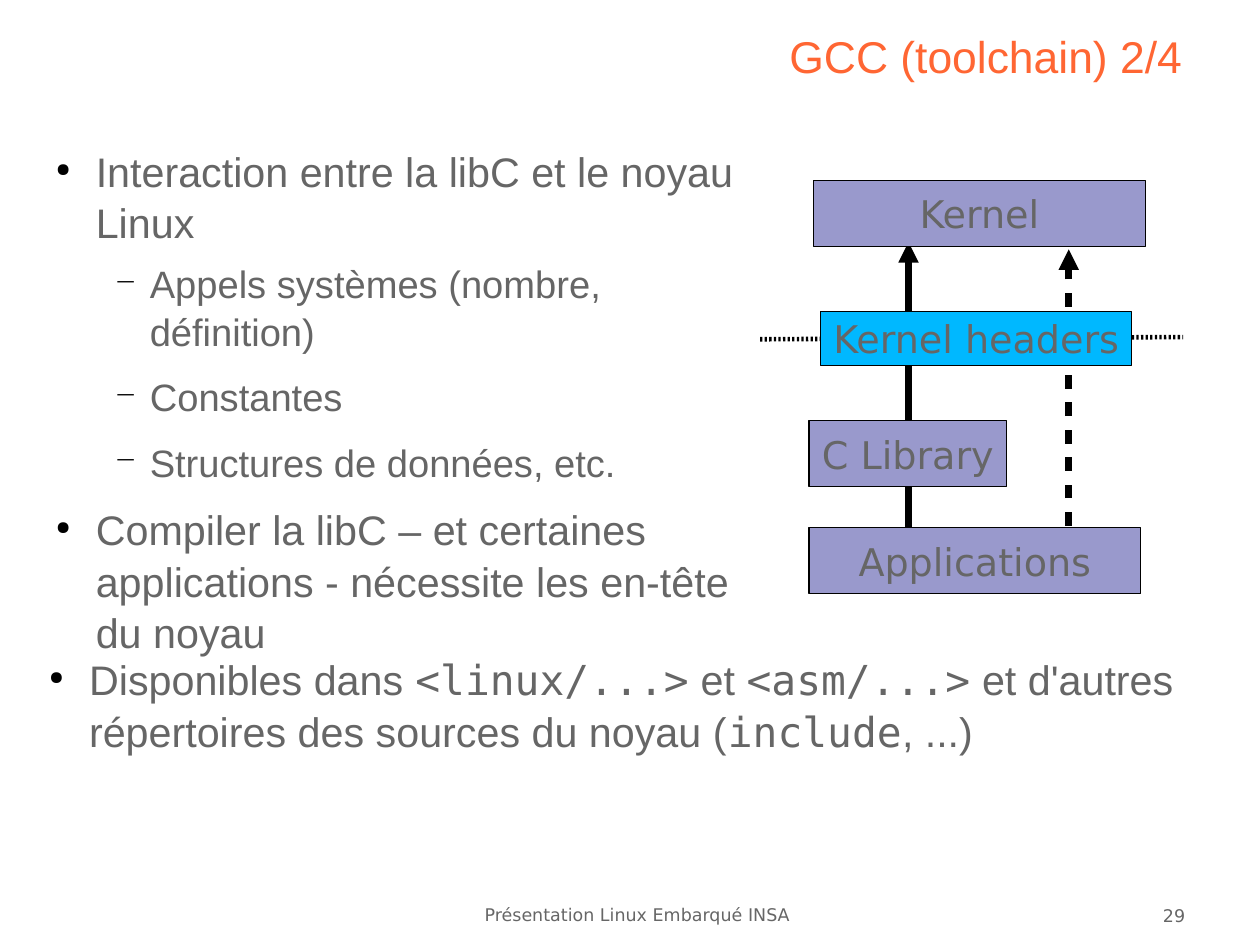
from dataclasses import dataclass
from lxml.etree import SubElement
from pptx import Presentation
from pptx.dml.color import RGBColor
from pptx.enum.shapes import MSO_CONNECTOR, MSO_SHAPE
from pptx.enum.text import MSO_ANCHOR, MSO_AUTO_SIZE, PP_ALIGN
from pptx.oxml.ns import qn
from pptx.util import Cm, Pt


@dataclass(frozen=True)
class Theme:
    """Colours, fonts and type sizes of the deck."""
    ink: str = "000000"
    grey: str = "666666"
    head: str = "FF6633"
    block: str = "9999CC"
    glow: str = "00B8FF"
    sans: str = "Arial"
    wide: str = "DejaVu Sans"
    mono: str = "DejaVu Sans Mono"
    title: int = 28
    main: int = 26
    sub: int = 24
    foot: int = 11


LOOK = Theme()
LEVELS = (
    {"size": LOOK.main, "left": 1.19, "hang": 0.89, "after": 7.4, "mark": "●", "scale": 45},
    {"size": LOOK.sub, "left": 2.39, "hang": 0.79, "after": 11.3, "mark": "−", "scale": 75},
)


def apply(item, values):
    """Set each named value on the item."""
    for name, value in values.items():
        setattr(item, name, value)


def frame(shape, wrap=True, anchor=MSO_ANCHOR.TOP):
    """Give the shape a text frame without margins."""
    text = shape.text_frame
    apply(text, {"margin_left": 0, "margin_right": 0, "margin_top": 0, "margin_bottom": 0,
                 "auto_size": MSO_AUTO_SIZE.NONE, "word_wrap": wrap, "vertical_anchor": anchor})
    return text


def write(para, text, size, face, color=LOOK.grey):
    """Add one formatted run to a paragraph."""
    run = para.add_run()
    run.text = text
    apply(run.font, {"size": Pt(size), "name": face})
    run.font.color.rgb = RGBColor.from_string(color)


def label(slide, box, text, align):
    """Write a small footer label in the box."""
    para = frame(slide.shapes.add_textbox(*map(Cm, box))).paragraphs[0]
    para.alignment = align
    write(para, text, LOOK.foot, LOOK.wide)


def header(slide, box, text):
    """Move and format the title placeholder."""
    title = slide.shapes.title
    apply(title, dict(zip(("left", "top", "width", "height"), map(Cm, box))))
    para = frame(title, anchor=MSO_ANCHOR.MIDDLE).paragraphs[0]
    para.alignment = PP_ALIGN.RIGHT
    write(para, text, LOOK.title, LOOK.sans, LOOK.head)


def bullet(para, level):
    """Give a paragraph the indent and mark of its level."""
    style = LEVELS[level]
    apply(para, {"level": level, "space_after": Pt(style["after"]), "line_spacing": 1.04})
    props = para._p.get_or_add_pPr()
    props.set("marL", str(Cm(style["left"])))
    props.set("indent", str(-Cm(style["hang"])))
    tint = SubElement(props, qn("a:buClr"))
    SubElement(tint, qn("a:srgbClr"), val=LOOK.ink)
    SubElement(props, qn("a:buSzPct"), val=str(style["scale"] * 1000))
    SubElement(props, qn("a:buChar"), char=style["mark"])


def points(slide, box, items):
    """Fill the box with bullets whose runs alternate sans and mono."""
    text = frame(slide.shapes.add_textbox(*map(Cm, box)))
    for index, (level, *runs) in enumerate(items):
        para = text.add_paragraph() if index else text.paragraphs[0]
        bullet(para, level)
        for place, part in enumerate(runs):
            write(para, part, LEVELS[level]["size"], (LOOK.sans, LOOK.mono)[place % 2])


def link(slide, ends, width, dash=0, arrow=False):
    """Draw a line with an optional even dash, in percent of its width."""
    line = slide.shapes.add_connector(MSO_CONNECTOR.STRAIGHT, *map(Cm, ends))
    line.line.color.rgb = RGBColor.from_string(LOOK.ink)
    line.line.width = Pt(width)
    props = line.line._get_or_add_ln()
    if dash:
        gaps = SubElement(props, qn("a:custDash"))
        SubElement(gaps, qn("a:ds"), d=str(dash * 1000), sp=str(dash * 1000))
    if arrow:
        SubElement(props, qn("a:tailEnd"), type="triangle")
    SubElement(line._element.spPr, qn("a:effectLst"))


def block(slide, box, text, fill):
    """Draw one labelled layer of the diagram."""
    shape = slide.shapes.add_shape(MSO_SHAPE.RECTANGLE, *map(Cm, box))
    shape.shadow.inherit = False
    shape.fill.solid()
    shape.fill.fore_color.rgb = RGBColor.from_string(fill)
    shape.line.color.rgb = RGBColor.from_string(LOOK.ink)
    shape.line.width = Pt(0)
    para = frame(shape, False, MSO_ANCHOR.MIDDLE).paragraphs[0]
    para.alignment = PP_ALIGN.CENTER
    write(para, text, LOOK.sub, LOOK.wide)


def diagram(slide, box):
    """Draw the software layers and their calls in the box."""
    left, top, width, _ = box
    for x, low, high, dash in ((3.3, 7.72, 1.37, 0), (6.86, 7.67, 1.53, 200)):
        link(slide, (left + x, top + low, left + x, top + high), 4.31, dash, True)
    link(slide, (left, top + 3.53, left + width, top + 3.48), 2.89, 50)
    layers = (
        ("Kernel", 1.19, 0, 7.37, 1.47, LOOK.block),
        ("Kernel headers", 1.35, 2.92, 6.91, 1.19, LOOK.glow),
        ("C Library", 1.09, 5.34, 4.39, 1.47, LOOK.block),
        ("Applications", 1.09, 7.72, 7.37, 1.47, LOOK.block),
    )
    for text, x, y, wide, high, fill in layers:
        block(slide, (left + x, top + y, wide, high), text, fill)


def main():
    """Build the slide and save it."""
    deck = Presentation()
    apply(deck, {"slide_width": Cm(28), "slide_height": Cm(21)})
    slide = deck.slides.add_slide(deck.slide_layouts[5])
    header(slide, (1.04, 0.38, 25.22, 1.73), "GCC (toolchain) 2/4")
    points(slide, (0.94, 3.2, 16.15, 10.74), (
        (0, "Interaction entre la libC et le noyau Linux"),
        (1, "Appels systèmes (nombre, définition)"),
        (1, "Constantes"),
        (1, "Structures de données, etc."),
        (0, "Compiler la libC – et certaines applications - nécessite les en-tête du noyau"),
    ))
    diagram(slide, (16.89, 4.01, 9.4, 9.19))
    points(slide, (0.79, 14.5, 26.21, 3.33), (
        (0, "Disponibles dans ", "<linux/...>", " et ", "<asm/...>",
         " et d'autres répertoires des sources du noyau (", "include", ", ...)"),
    ))
    label(slide, (10.62, 20.09, 7.09, 0.53), "Présentation Linux Embarqué INSA", PP_ALIGN.CENTER)
    label(slide, (24.18, 20.12, 2.16, 0.53), "29", PP_ALIGN.RIGHT)
    deck.save("out.pptx")


if __name__ == "__main__":
    main()
